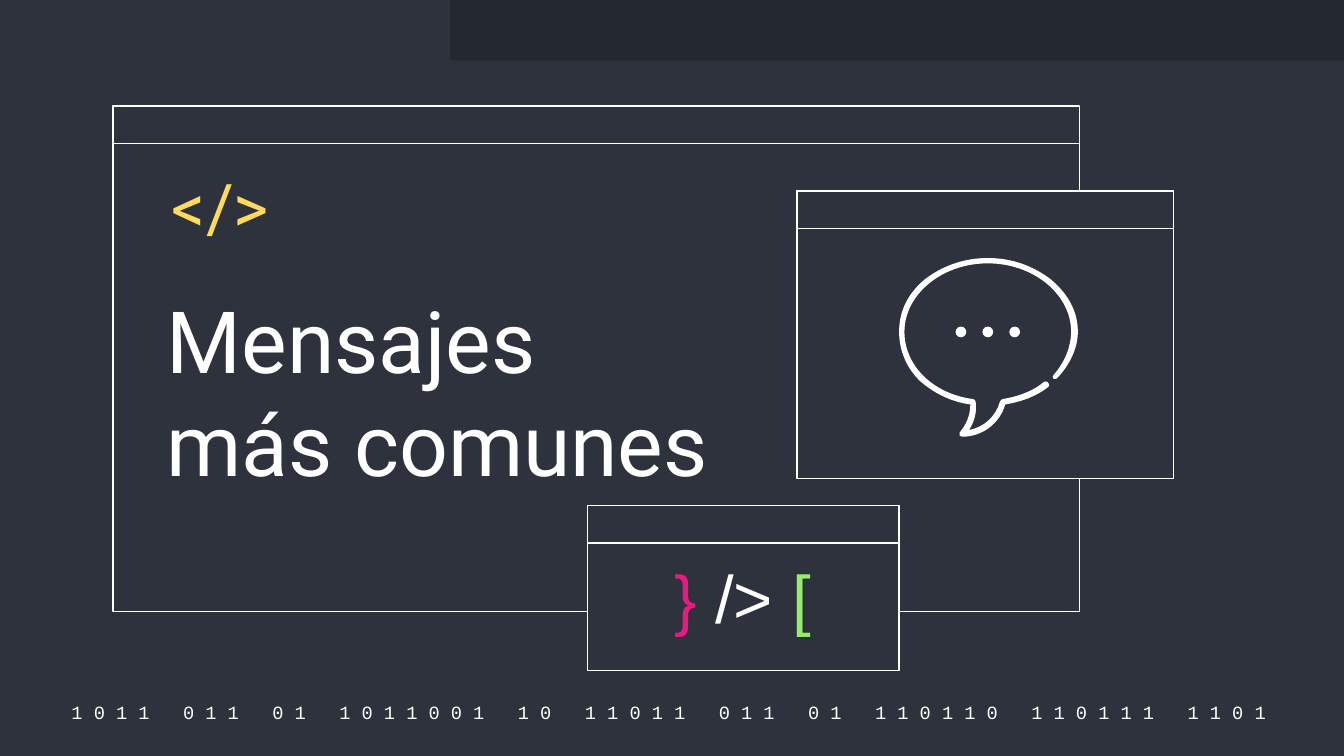
"""Build the title slide with code windows and a speech bubble."""
from lxml.etree import SubElement
from pptx import Presentation
from pptx.dml.color import RGBColor
from pptx.enum.shapes import MSO_SHAPE
from pptx.enum.text import MSO_ANCHOR, MSO_AUTO_SIZE, PP_ALIGN
from pptx.oxml.ns import qn
from pptx.util import Pt

PX = 9144
WHITE, NAVY = "FFFFFF", "2D323C"


def paint(color_owner, color):
    if hasattr(color_owner, "solid"):
        color_owner.solid()
        color_owner = color_owner.fore_color
    elif hasattr(color_owner, "color"):
        color_owner = color_owner.color
    color_owner.rgb = RGBColor.from_string(color)


def write(box, runs, font, size, align, anchor=MSO_ANCHOR.TOP, spacing=1.0):
    frame = box.text_frame
    frame.word_wrap = True
    frame.auto_size = MSO_AUTO_SIZE.NONE
    frame.vertical_anchor = anchor
    frame.margin_left = frame.margin_right = 10 * PX
    frame.margin_top = frame.margin_bottom = 10 * PX
    para = frame.paragraphs[0]
    para.alignment = align
    para.line_spacing = spacing
    for text, color in runs:
        span = para.add_run()
        span.text = text
        span.font.name = font
        span.font.size = Pt(size)
        paint(span.font, color)


deck = Presentation()
deck.slide_width = 1000 * PX
deck.slide_height = int(562.5 * PX)
page = deck.slides.add_slide(deck.slide_layouts[5])
paint(page.background.fill, NAVY)
shapes = page.shapes

binary = shapes.add_textbox(38 * PX, 520 * PX, 927 * PX, 20 * PX)
groups = "1011 011 01 1011001 10 11011 011 01 110110 110111 1101".split()
digits = "   ".join(" ".join(group) for group in groups) + " "
write(binary, [(digits, WHITE)], "Courier New", 10, PP_ALIGN.CENTER, MSO_ANCHOR.MIDDLE)

band = shapes.add_shape(MSO_SHAPE.RECTANGLE, 335 * PX, 0, 665 * PX, 45 * PX)
band.shadow.inherit = False
paint(band.fill, "242830")
band.line.fill.background()

windows = [(84, 79, 719, 376), (437, 376, 232, 123), (593, 142, 280, 214)]
for left, top, width, height in windows:
    for part_height in (height, 28):
        pane = shapes.add_shape(
            MSO_SHAPE.RECTANGLE, left * PX, top * PX, width * PX, part_height * PX
        )
        pane.shadow.inherit = False
        paint(pane.fill, NAVY)
        paint(pane.line, WHITE)
        pane.line.width = Pt(0.75)

title = shapes.title
title.left, title.top, title.width, title.height = 114 * PX, 204 * PX, 431 * PX, 90 * PX
write(title, [("Mensajes más comunes", WHITE)], "Roboto", 46, PP_ALIGN.JUSTIFY)
title.element.getparent().append(title.element)

tag = shapes.add_textbox(92 * PX, 120 * PX, 118 * PX, 62 * PX)
write(tag, [("</>", "FFDB5D")], "Roboto", 36, PP_ALIGN.RIGHT, spacing=0.9)
symbols = shapes.add_textbox(486 * PX, 411 * PX, 133 * PX, 82 * PX)
symbol_runs = [("}", "E81981"), (" /> ", WHITE), ("[", "94EE6B")]
write(symbols, symbol_runs, "Arial", 36, PP_ALIGN.CENTER, spacing=0.9)

bubble_parts = []
for left in (711, 731, 751):
    bubble_parts.append(
        shapes.add_shape(MSO_SHAPE.OVAL, left * PX, 243 * PX, 8 * PX, 8 * PX)
    )

bubble_curves = [
    (717, 192, 701, 198, 688, 208), (675, 219, 669, 232, 669, 247),
    (669, 260, 674, 273, 684, 283), (694, 292, 707, 299, 722, 301),
    (722, 309, 719, 316, 714, 322), (714, 322, 714, 323, 714, 324),
    (714, 324, 715, 325, 716, 325), (731, 325, 744, 315, 748, 301),
    (760, 299, 771, 295, 780, 288), (781, 287, 781, 286, 780, 285),
    (780, 284, 779, 284, 779, 284), (778, 284, 778, 284, 777, 284),
    (769, 291, 758, 295, 746, 297), (745, 297, 745, 298, 744, 299),
    (741, 310, 732, 318, 721, 320), (725, 314, 727, 307, 726, 299),
    (726, 298, 725, 297, 724, 297), (694, 293, 673, 272, 673, 247),
    (673, 219, 701, 196, 735, 196), (769, 196, 797, 219, 797, 247),
    (797, 258, 792, 270, 784, 279), (783, 280, 783, 281, 784, 282),
    (784, 282, 785, 282, 785, 282), (786, 282, 786, 282, 786, 282),
    (796, 272, 802, 259, 802, 247), (802, 232, 795, 219, 782, 208),
    (769, 198, 753, 192, 735, 192),
]
builder = shapes.build_freeform(735, 192, scale=PX)
builder.add_line_segments([curve[4:] for curve in bubble_curves], close=True)
outline = builder.convert_to_shape()
segments = list(outline.element.iter(qn("a:lnTo")))
for segment, curve in zip(segments, bubble_curves):
    segment.clear()
    segment.tag = qn("a:cubicBezTo")
    for x, y in zip(curve[::2], curve[1::2]):
        SubElement(segment, qn("a:pt"), x=str(x - 669), y=str(y - 192))
bubble_parts.append(outline)

for part in bubble_parts:
    part.shadow.inherit = False
    paint(part.fill, WHITE)
    part.line.fill.background()

deck.save("out.pptx")
